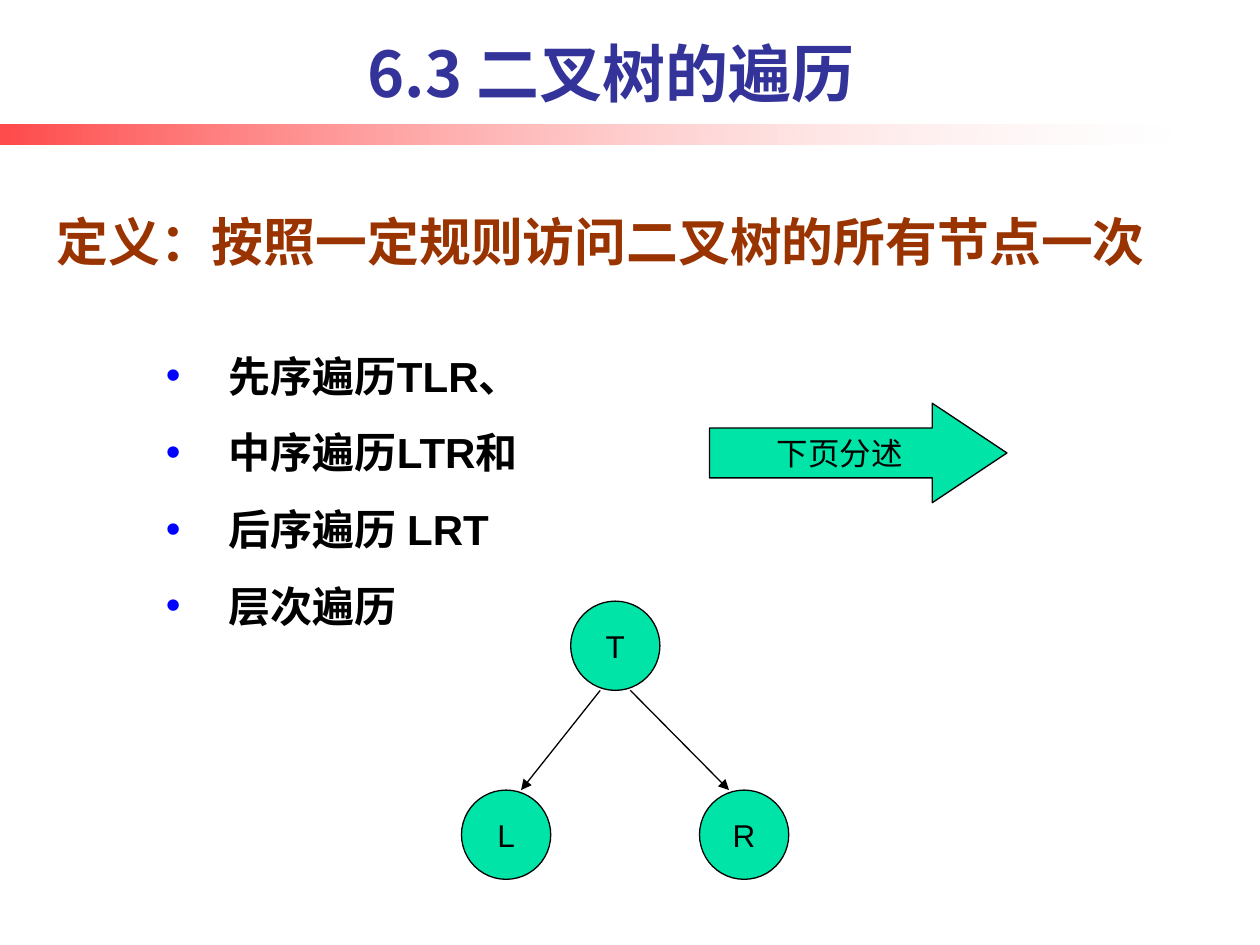
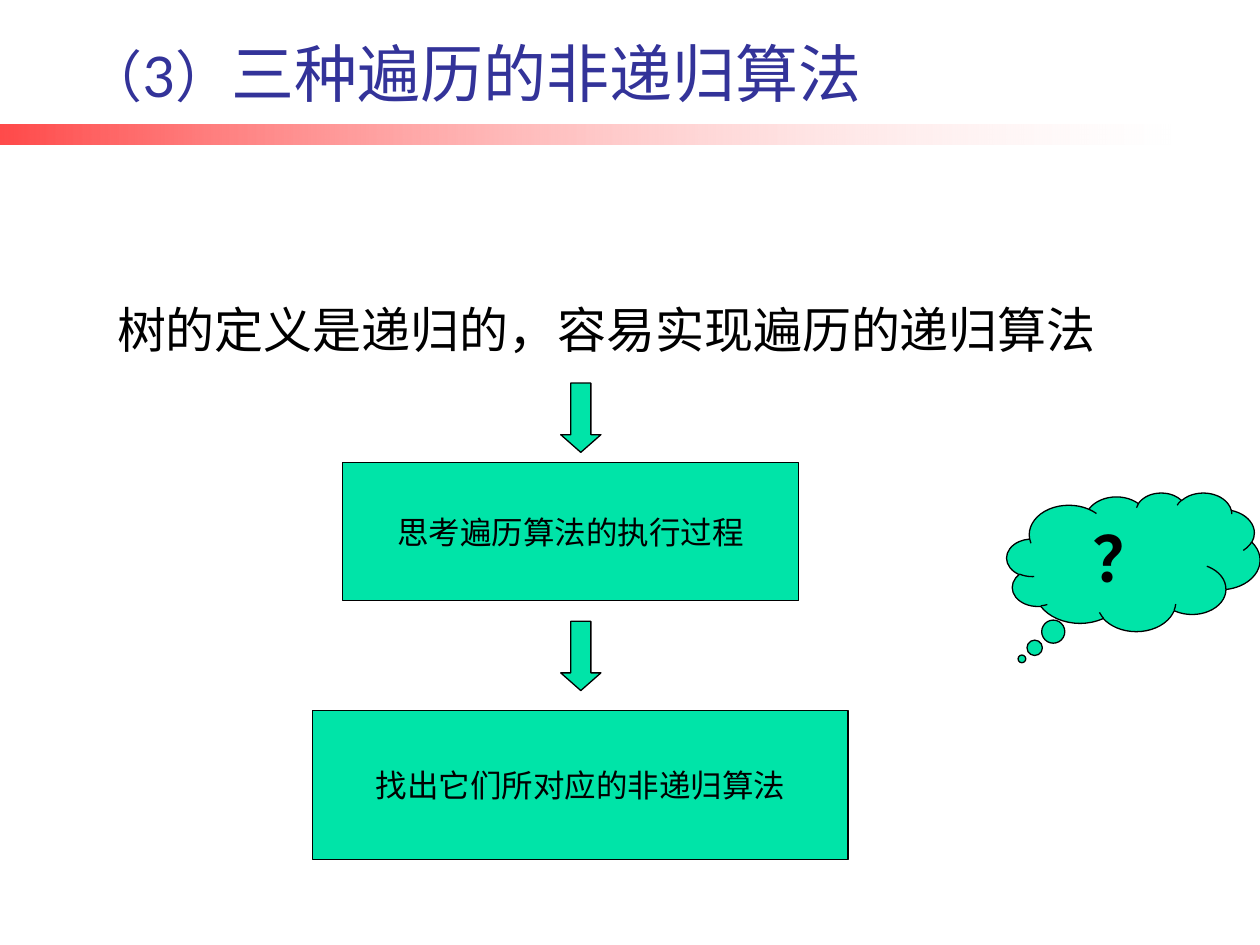
"""Build two slides on binary tree traversal."""
import dataclasses

import pptx
import pptx.dml.color
import pptx.enum.dml
import pptx.enum.shapes
import pptx.enum.text
import pptx.oxml
import pptx.oxml.ns
import pptx.util
from lxml import etree

Pt = pptx.util.Pt
SHAPE = pptx.enum.shapes.MSO_SHAPE
ALIGN = pptx.enum.text.PP_ALIGN
ANCHOR = pptx.enum.text.MSO_ANCHOR


@dataclasses.dataclass(frozen=True)
class Theme:
    """Hold the colours, fonts and type sizes of the deck."""
    title: str = "333399"
    definition: str = "993300"
    ink: str = "000000"
    shape: str = "00E4A8"
    bullet: str = "0000FF"
    band_stops: tuple = (("FFFFFF", 18), ("FF0000", 71))
    heading_font: str = "Lato"
    numbered_font: str = "Noto Sans CJK SC"
    body_font: str = "Arial"
    asian_font: str = "Lato"
    title_size: float = 36
    title_number_size: float = 32
    definition_size: float = 29.6
    statement_size: float = 28
    list_size: float = 24
    label_size: float = 18
    line_width: float = 0.75


THEME = Theme()


def rgb(value):
    """Turn a hex string into a colour."""
    return pptx.dml.color.RGBColor.from_string(value)


def add_element(parent, tag, **attributes):
    """Append a drawing element with the given attributes."""
    return etree.SubElement(parent, pptx.oxml.ns.qn(tag), **attributes)


def write_text(para, text, size=THEME.label_size, font=THEME.body_font,
               color=THEME.ink, bold=False):
    """Add one formatted span of text to a paragraph."""
    span = para.add_run()
    span.text = text
    span.font.size = Pt(size)
    span.font.bold = bold
    span.font.name = font
    span.font.color.rgb = rgb(color)
    add_element(span.font._element, "a:ea", typeface=THEME.asian_font)


def add_text_box(page, left, top, width, height, anchor=ANCHOR.TOP):
    """Add a wrapping text box and return its text frame."""
    frame = page.shapes.add_textbox(Pt(left), Pt(top), Pt(width), Pt(height)).text_frame
    frame.word_wrap = True
    frame.vertical_anchor = anchor
    return frame


def add_band(page):
    """Draw the fading band under the title."""
    band = page.shapes.add_shape(SHAPE.RECTANGLE, 0, Pt(71.3), Pt(669), Pt(11.5))
    band.shadow.inherit = False
    band.line.fill.background()
    band.fill.gradient()
    band.fill.gradient_angle = 180
    for stop, position, (color, opacity) in zip(band.fill.gradient_stops, (0, 1), THEME.band_stops):
        stop.position = position
        stop.color.rgb = rgb(color)
        color_element = stop._gs.find(pptx.oxml.ns.qn("a:srgbClr"))
        add_element(color_element, "a:alpha", val=str(opacity * 1000))


def add_page(deck, title_spans, align=ALIGN.LEFT):
    """Add a page with its band and a title made of formatted spans."""
    page = deck.slides.add_slide(deck.slide_layouts[6])
    add_band(page)
    para = add_text_box(page, 42.5, 15.1, 613.4, 51.1, ANCHOR.BOTTOM).paragraphs[0]
    para.alignment = align
    for text, text_format in title_spans:
        write_text(para, text, color=THEME.title, **text_format)
    return page


def add_figure(page, kind, left, top, width, height, text="", adjust=(), wrap=False,
               anchor=ANCHOR.MIDDLE, **text_format):
    """Draw a green outlined shape with an optional centred label."""
    box = page.shapes.add_shape(kind, Pt(left), Pt(top), Pt(width), Pt(height))
    box.shadow.inherit = False
    box.fill.solid()
    box.fill.fore_color.rgb = rgb(THEME.shape)
    box.line.color.rgb = rgb(THEME.ink)
    box.line.width = Pt(THEME.line_width)
    for index, value in enumerate(adjust):
        box.adjustments[index] = value
    if text:
        box.text_frame.word_wrap = wrap
        box.text_frame.vertical_anchor = anchor
        para = box.text_frame.paragraphs[0]
        para.alignment = ALIGN.CENTER
        write_text(para, text, **text_format)


def add_arrow(page, start, end):
    """Draw a thin line with an arrowhead at its end."""
    line = page.shapes.add_connector(pptx.enum.shapes.MSO_CONNECTOR.STRAIGHT,
                                     *(Pt(value) for value in (*start, *end)))
    line.line.color.rgb = rgb(THEME.ink)
    line.line.width = Pt(THEME.line_width)
    add_element(line.line._get_or_add_ln(), "a:tailEnd", type="triangle")
    add_element(line._element.spPr, "a:effectLst")


def add_bullets(page, left, top, width, height, items):
    """Write a bold list with coloured bullets."""
    frame = add_text_box(page, left, top, width, height)
    for index, item in enumerate(items):
        para = frame.add_paragraph() if index else frame.paragraphs[0]
        properties = para._p.get_or_add_pPr()
        properties.set("marL", str(Pt(36)))
        properties.set("indent", str(-Pt(36)))
        bullet_color = add_element(properties, "a:buClr")
        add_element(bullet_color, "a:srgbClr", val=THEME.bullet)
        add_element(properties, "a:buFont", typeface=THEME.body_font)
        add_element(properties, "a:buChar", char="•")
        if index:
            para.space_before = Pt(15)
        write_text(para, item, size=THEME.list_size, bold=True)


def add_tree(page):
    """Draw a root with a left and a right child."""
    diameter, root_top, child_top, inset = 51, 343.5, 451.5, 8.6
    root_center = 351.6
    add_figure(page, SHAPE.OVAL, root_center - diameter / 2, root_top, diameter, diameter, "T")
    for label, center, side in (("L", 289.2, -1), ("R", 425.2, 1)):
        add_figure(page, SHAPE.OVAL, center - diameter / 2, child_top, diameter, diameter, label)
        add_arrow(page, (root_center + side * inset, root_top + diameter),
                  (center - side * inset, child_top))


def add_traversal_page(deck):
    """Build the page that defines traversal."""
    heading = {"size": THEME.title_size, "font": THEME.numbered_font, "bold": True}
    page = add_page(deck, [("6.3 二叉树的遍历", heading)], ALIGN.CENTER)
    definition = add_text_box(page, 25.2, 116.6, 672.5, 45.4).paragraphs[0]
    write_text(definition, "定义：按照一定规则访问二叉树的所有节点一次", size=THEME.definition_size,
               font=THEME.heading_font, color=THEME.definition, bold=True)
    add_bullets(page, 87.8, 196.6, 470.9, 167.8,
                ["先序遍历TLR、", "中序遍历LTR和", "后序遍历 LRT", "层次遍历"])
    add_figure(page, SHAPE.RIGHT_ARROW, 405.4, 230.4, 170, 56.9, "下页分述", adjust=(0.5, 0.75))
    add_tree(page)


def add_algorithm_page(deck):
    """Build the page on non-recursive algorithms."""
    page = add_page(deck, [
        ("（3）", {"size": THEME.title_number_size, "font": THEME.heading_font}),
        ("三种遍历的非递归算法", {"size": THEME.title_size, "font": THEME.heading_font})])
    statement = add_text_box(page, 59.8, 167.8, 589.7, 41).paragraphs[0]
    write_text(statement, "树的定义是递归的，容易实现遍历的递归算法", size=THEME.statement_size)
    add_figure(page, SHAPE.RECTANGLE, 195.8, 264.2, 260.6, 79.2, "思考遍历算法的执行过程")
    for top in (218.9, 355):
        add_figure(page, SHAPE.DOWN_ARROW, 320.4, top, 23, 39.6, adjust=(0.5, 0.44))
    add_figure(page, SHAPE.RECTANGLE, 178.6, 406, 306, 85, "找出它们所对应的非递归算法")
    add_figure(page, SHAPE.CLOUD_CALLOUT, 575.3, 281.5, 144.7, 79.2, "？", adjust=(-0.44, 0.7),
               wrap=True, anchor=ANCHOR.TOP, size=THEME.title_size, bold=True)


def main():
    """Build and save the deck."""
    deck = pptx.Presentation()
    deck.slide_width, deck.slide_height = Pt(720), Pt(540)
    add_traversal_page(deck)
    add_algorithm_page(deck)
    deck.save("out.pptx")


if __name__ == "__main__":
    main()
